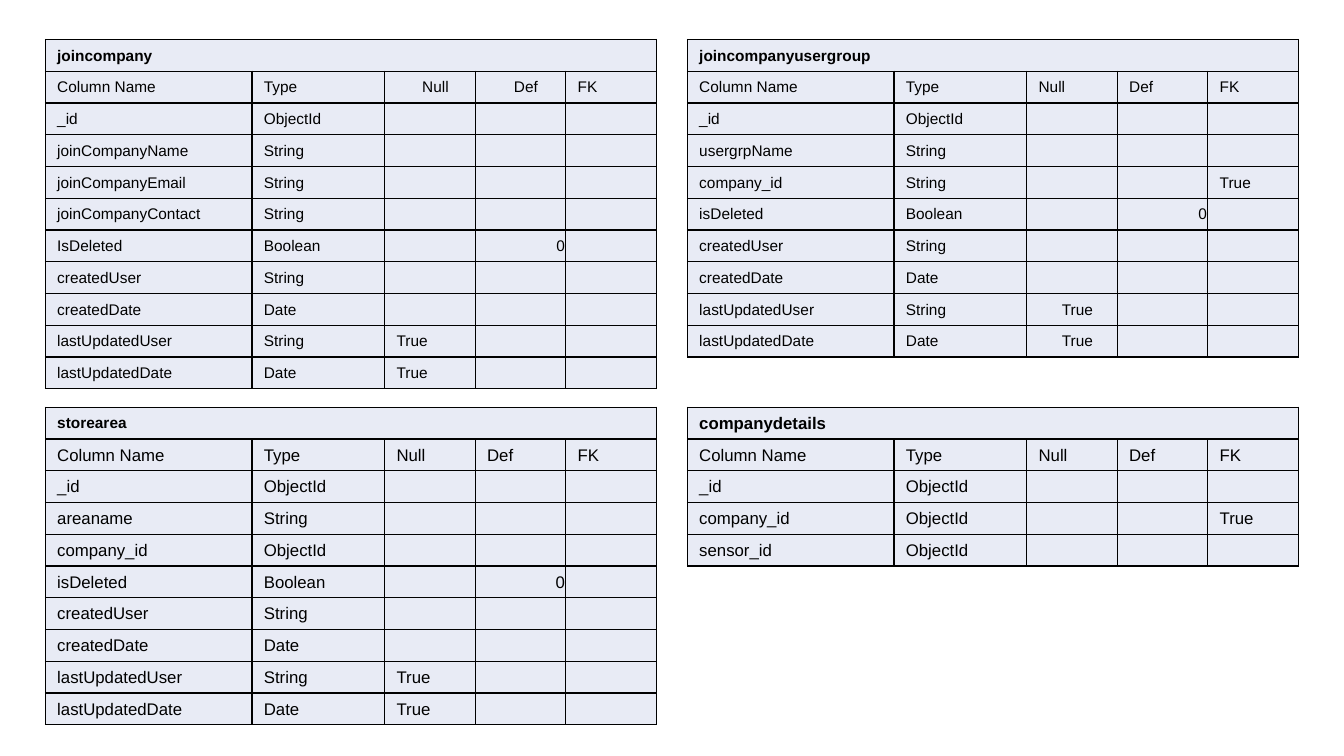
from pptx import Presentation
from pptx.dml.color import RGBColor
from pptx.enum import text
from pptx.oxml import parse_xml
from pptx.oxml import ns
from pptx.util import Pt

HEADINGS = ("Column Name", "Type", "Null", "Def", "FK")
ID = ("_id", "ObjectId")
CREATED = [("createdUser", "String"), ("createdDate", "Date")]
UPDATED = [("lastUpdatedUser", "String", "True"), ("lastUpdatedDate", "Date", "True")]

JOIN_COMPANY = [
    ID,
    ("joinCompanyName", "String"),
    ("joinCompanyEmail", "String"),
    ("joinCompanyContact", "String"),
    ("IsDeleted", "Boolean", "", "0"),
    *CREATED,
    *UPDATED,
]
USER_GROUP = [
    ID,
    ("usergrpName", "String"),
    ("company_id", "String", "", "", "True"),
    ("isDeleted", "Boolean", "", "0"),
    *CREATED,
    *UPDATED,
]
COMPANY_DETAILS = [
    ID,
    ("company_id", "ObjectId", "", "", "True"),
    ("sensor_id", "ObjectId"),
]
STORE_AREA = [
    ID,
    ("areaname", "String"),
    ("company_id", "ObjectId"),
    ("isDeleted", "Boolean", "", "0"),
    *CREATED,
    *UPDATED,
]

LEFT, RIGHT = 32.4, 491
TOP, BOTTOM = 28.2, 290.9


def colour(value):
    return RGBColor.from_string(value)


class SchemaSlide:
    font = "Arial"
    ink = "000000"
    fill = "E8EBF5"
    border = 1
    row_height = 22.68
    column_widths = (147.6, 94.8, 64.7, 64.7, 64.7)

    def __init__(self, presentation):
        self.slide = presentation.slides.add_slide(presentation.slide_layouts[6])

    def add_schema(self, name, fields, left, top, size=11, name_size=11, centred=()):
        """Draw one schema; centred holds the (row, column) places of centred cells."""
        rows = [(name,), HEADINGS, *fields]
        table = self.slide.shapes.add_table(
            len(rows), len(HEADINGS), Pt(left), Pt(top),
            Pt(sum(self.column_widths)), Pt(self.row_height * len(rows)),
        ).table
        table.first_row = table.horz_banding = False
        for column, width in zip(table.columns, self.column_widths):
            column.width = Pt(width)
        for row in table.rows:
            row.height = Pt(self.row_height)
        table.cell(0, 0).merge(table.cell(0, len(HEADINGS) - 1))

        for i, values in enumerate(rows):
            for j in range(len(HEADINGS)):
                value = values[j] if j < len(values) else ""
                if (i, j) in centred:
                    alignment = text.PP_ALIGN.CENTER
                elif value.isdigit():
                    alignment = text.PP_ALIGN.RIGHT
                else:
                    alignment = text.PP_ALIGN.LEFT
                self.format_cell(table.cell(i, j), value, alignment,
                                 size if i else name_size, bold=i == 0)

    def format_cell(self, cell, value, alignment, size, bold):
        cell.margin_left = Pt(8.5)
        cell.margin_top = cell.margin_right = Pt(0.7)
        cell.margin_bottom = 0
        cell.vertical_anchor = text.MSO_ANCHOR.MIDDLE
        self.add_borders(cell)
        cell.fill.solid()
        cell.fill.fore_color.rgb = colour(self.fill)
        cell.text = value
        paragraph = cell.text_frame.paragraphs[0]
        paragraph.alignment = alignment
        paragraph.font.name = self.font
        paragraph.font.size = Pt(size)
        paragraph.font.bold = bold
        paragraph.font.color.rgb = colour(self.ink)

    def add_borders(self, cell):
        properties = cell._tc.get_or_add_tcPr()
        for side in ("lnL", "lnR", "lnT", "lnB"):
            properties.append(parse_xml(
                f'<a:{side} {ns.nsdecls("a")} w="{Pt(self.border)}"><a:solidFill>'
                f'<a:srgbClr val="{self.ink}"/></a:solidFill></a:{side}>'
            ))


def main():
    presentation = Presentation()
    presentation.slide_width, presentation.slide_height = Pt(960), Pt(540)
    schemas = SchemaSlide(presentation)
    schemas.add_schema("joincompany", JOIN_COMPANY, LEFT, TOP,
                       centred={(1, 2), (1, 3)})
    schemas.add_schema("joincompanyusergroup", USER_GROUP, RIGHT, TOP,
                       centred={(8, 2), (9, 2)})
    schemas.add_schema("companydetails", COMPANY_DETAILS, RIGHT, BOTTOM,
                       size=12, name_size=12)
    schemas.add_schema("storearea", STORE_AREA, LEFT, BOTTOM, size=12)
    presentation.save("out.pptx")


if __name__ == "__main__":
    main()
